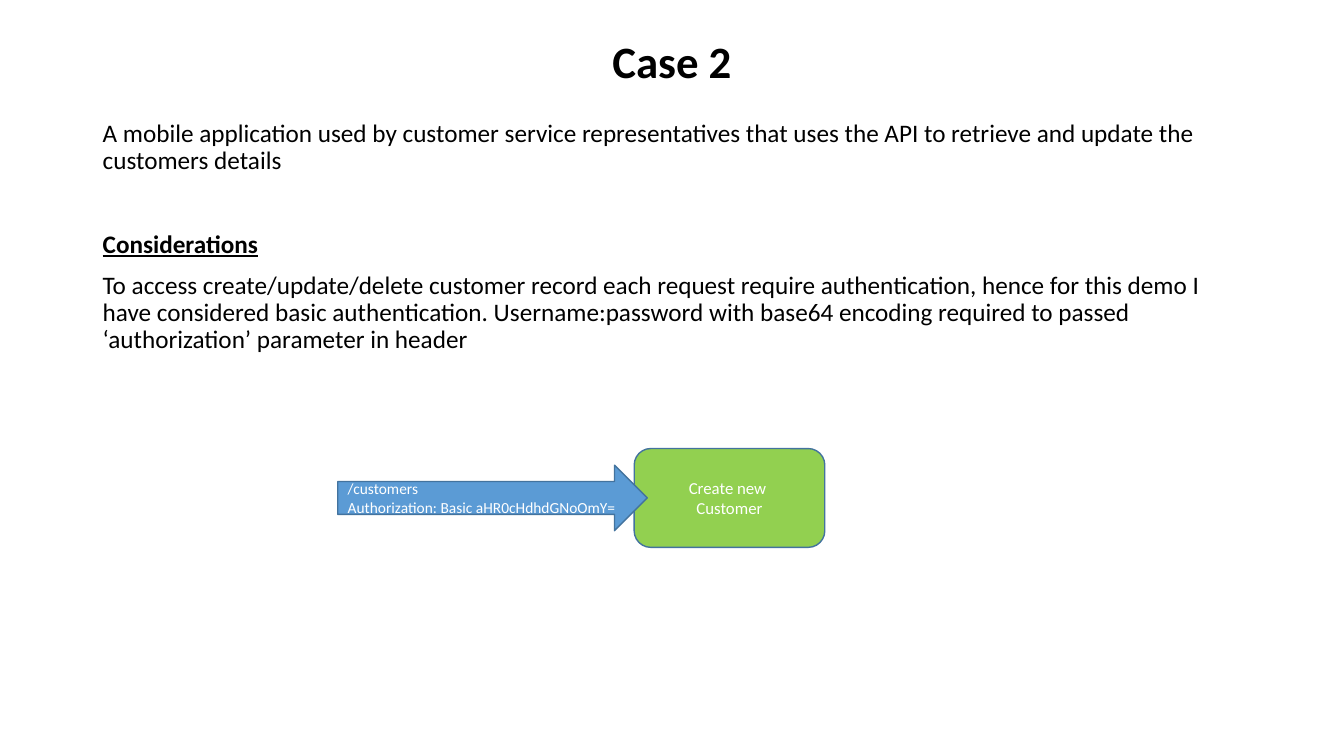
from pptx import Presentation
from pptx.dml.color import RGBColor
from pptx.enum.shapes import MSO_SHAPE
from pptx.enum.text import MSO_ANCHOR, PP_ALIGN
from pptx.util import Inches, Pt

LEFT, CENTER = PP_ALIGN.LEFT, PP_ALIGN.CENTER
TOP, MIDDLE = MSO_ANCHOR.TOP, MSO_ANCHOR.MIDDLE
BLACK = RGBColor(0x00, 0x00, 0x00)
WHITE = RGBColor(0xFF, 0xFF, 0xFF)
GREEN = RGBColor(0x92, 0xD0, 0x50)
BLUE = RGBColor(0x5B, 0x9B, 0xD5)
OUTLINE = RGBColor(0x43, 0x73, 0x9E)

# Content
TITLE = "Case 2"
BODY = [  # text, format
    ("A mobile application used by customer service representatives that uses "
     "the API to retrieve and update the customers details", {}),
    ("Considerations", dict(bold=True, underline=True, before=40)),
    ("To access create/update/delete customer record each request require "
     "authentication, hence for this demo I have considered basic "
     "authentication. Username:password with base64 encoding required to "
     "passed ‘authorization’ parameter in header", dict(before=10)),
]
ACTION = ["Create new ", "Customer"]
REQUEST = ["/customers", "Authorization: Basic aHR0cHdhdGNoOmY="]

# Layout in inches
WIDTH, HEIGHT = 13.33, 7.5
MARGIN = 0.92
COLUMN = WIDTH - 2 * MARGIN
FLOW_MIDDLE = 4.94  # shared centre line of the arrow and the box


def add_text(tf, text, size=18, color=BLACK, bold=False, underline=False,
             align=LEFT, spacing=1.0, before=0):
    """Write one paragraph, using the first one while it is empty."""
    p = tf.paragraphs[0] if not tf.text else tf.add_paragraph()
    p.alignment, p.line_spacing, p.space_before = align, spacing, Pt(before)
    r = p.add_run()
    r.text = text
    r.font.name, r.font.size, r.font.color.rgb = "Calibri", Pt(size), color
    r.font.bold, r.font.underline = bold, underline


def add_flow_shape(s, kind, left, width, height, fill, lines, **fmt):
    sp = s.shapes.add_shape(kind, Inches(left), Inches(FLOW_MIDDLE - height / 2),
                            Inches(width), Inches(height))
    sp.shadow.inherit = False
    sp.fill.solid()
    sp.fill.fore_color.rgb = fill
    sp.line.color.rgb, sp.line.width = OUTLINE, Pt(1)
    tf = sp.text_frame
    tf.word_wrap, tf.vertical_anchor = True, MIDDLE
    for line in lines:
        add_text(tf, line, color=WHITE, **fmt)


prs = Presentation()
prs.slide_width, prs.slide_height = Inches(WIDTH), Inches(HEIGHT)
s = prs.slides.add_slide(prs.slide_layouts[5])

# Title
title = s.shapes.title
title.left, title.top = Inches(MARGIN), Inches(0.26)
title.width, title.height = Inches(COLUMN), Inches(0.74)
title.text_frame.vertical_anchor = MIDDLE
add_text(title.text_frame, TITLE, size=32, bold=True, align=CENTER, spacing=0.9)

# Body
box = s.shapes.add_textbox(Inches(MARGIN), Inches(1.15), Inches(COLUMN), Inches(5.61))
box.text_frame.word_wrap, box.text_frame.vertical_anchor = True, TOP
for text, fmt in BODY:
    add_text(box.text_frame, text, spacing=0.9, **fmt)

# Request arrow overlapping the action box
add_flow_shape(s, MSO_SHAPE.ROUNDED_RECTANGLE, 6.29, 1.89, 0.98, GREEN, ACTION,
               size=12, align=CENTER)
add_flow_shape(s, MSO_SHAPE.RIGHT_ARROW, 3.35, 3.07, 0.65, BLUE, REQUEST, size=11)

prs.save("out.pptx")
